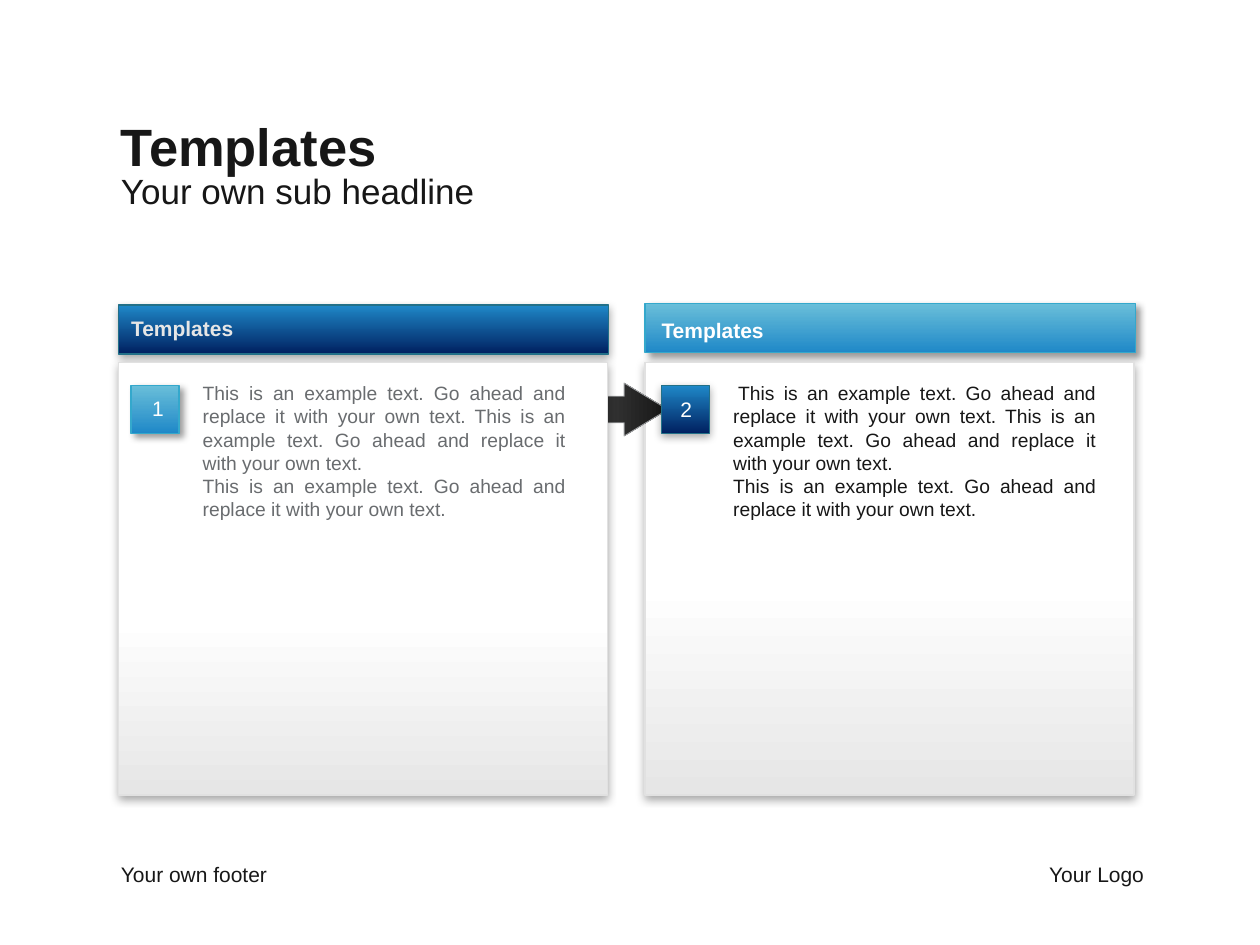
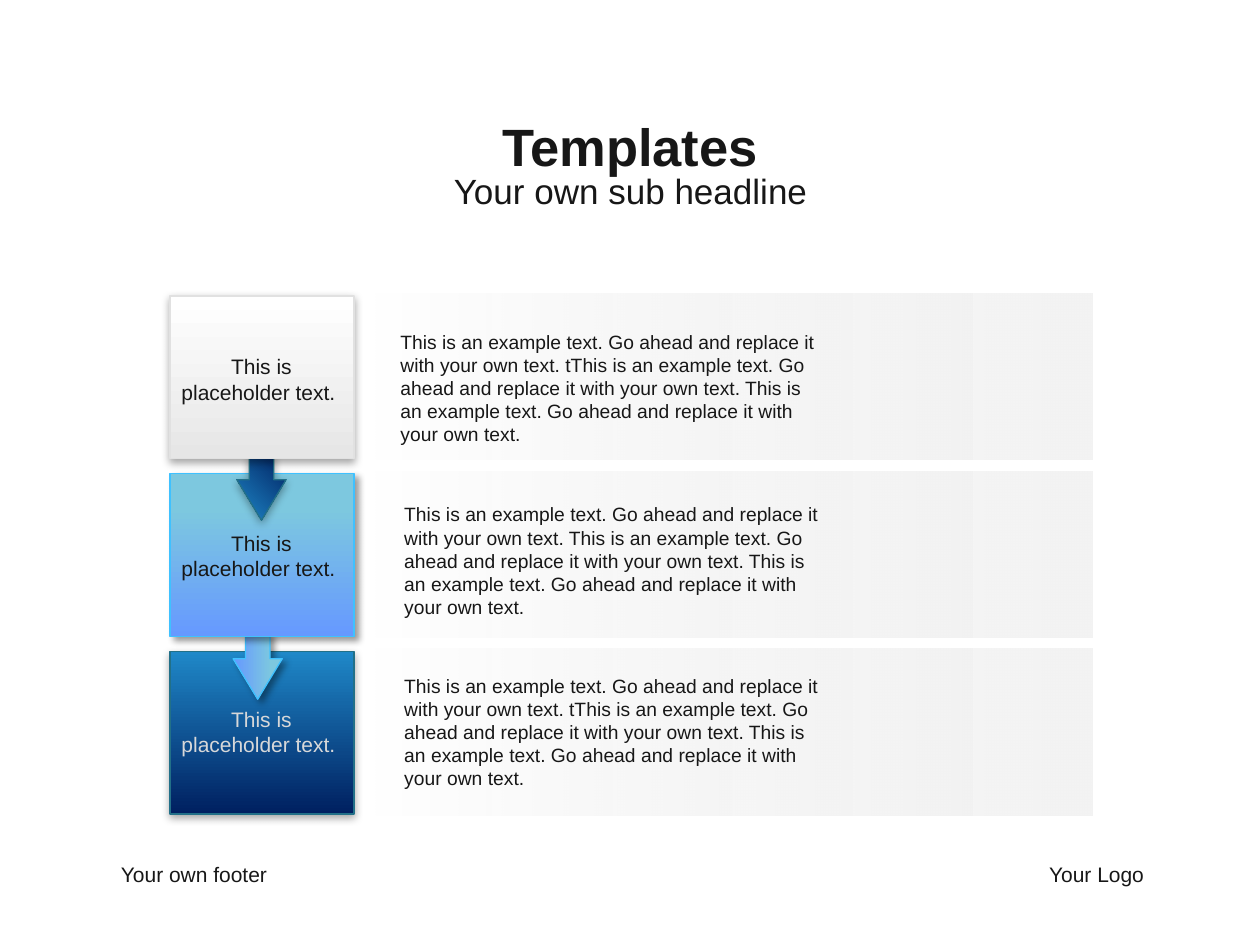
from lxml import etree
from pptx import Presentation
from pptx.dml.color import RGBColor
from pptx.enum.shapes import MSO_SHAPE
from pptx.enum.text import MSO_ANCHOR, PP_ALIGN
from pptx.oxml.ns import qn
from pptx.util import Emu, Inches, Pt

RECT, ARROW = MSO_SHAPE.RECTANGLE, MSO_SHAPE.RIGHT_ARROW
LEFT, CENTER = PP_ALIGN.LEFT, PP_ALIGN.CENTER
RIGHT, JUSTIFY = PP_ALIGN.RIGHT, PP_ALIGN.JUSTIFY
TOP, MIDDLE = MSO_ANCHOR.TOP, MSO_ANCHOR.MIDDLE

FONT, INK, WHITE = "Arial", "171717", "FFFFFF"
PAD, FLAT, BARE = (0.1, 0.05), (0, 0.05), (0, 0)
rgb = RGBColor.from_string

# Shadow: opacity %, blur pt, distance pt, direction in degrees
DROP, SLANT = (35, 5, 1.8, 90), (40, 4, 3, 45)

# Look: gradient stops (%, colour), clockwise angle, line colour, width, shadow
LIGHT = [(0, "69BED9"), (100, "1F88C8")], 90, "34A8CC", 0.75, SLANT
NAVY = [(0, "002060"), (100, "1F88C8")], 270, "227088", 0.75, DROP
TILT = NAVY[0], 45, *NAVY[2:]
SKY = [(21, "7DC8DF"), (100, "6699FF")], 90, "3FC1FF", 0.75, SLANT
PALE = [(0, "E6E6E6"), (100, WHITE)], 270, "E1E1E1", 0.75, DROP
DARK = [(0, "3A3A3A"), (100, INK)], 0, "A0A2A4", 0.5, None
BAND = [(0, "E6E6E6"), (100, "F3F3F3")], 0, None, 0, None


def draw(slide, kind, box, look):
    """Add a shape with the gradient, line and shadow of a look."""
    stops, angle, line, width, shade = look
    shape = slide.shapes.add_shape(kind, *map(Inches, box))
    shape.shadow.inherit = False
    shape.fill.gradient()
    shape.fill.gradient_angle = (360 - angle) % 360
    for stop, (pos, hue) in zip(shape.fill.gradient_stops, stops):
        stop.position = pos / 100
        stop.color.rgb = rgb(hue)
    if line:
        shape.line.color.rgb = rgb(line)
        shape.line.width = Pt(width)
    else:
        shape.line.fill.background()
    if shade:
        alpha, blur, dist, way = shade
        glow = etree.SubElement(
            shape.element.spPr.find(qn("a:effectLst")), qn("a:outerShdw"),
            blurRad=str(Pt(blur)), dist=str(Pt(dist)),
            dir=str(way * 60000), rotWithShape="0")
        tint = etree.SubElement(glow, qn("a:srgbClr"), val="000000")
        etree.SubElement(tint, qn("a:alpha"), val=str(alpha * 1000))
    if kind == ARROW:
        shape.adjustments[0], shape.adjustments[1] = 0.5, 0.825
    return shape


def write(slide, box, lines, size, hue=INK, align=LEFT, pad=PAD,
          anchor=TOP, bold=False):
    """Add a text box with one paragraph for each line."""
    frame = slide.shapes.add_textbox(*map(Inches, box)).text_frame
    frame.word_wrap = True
    frame.vertical_anchor = anchor
    frame.margin_left = frame.margin_right = Inches(pad[0])
    frame.margin_top = frame.margin_bottom = Inches(pad[1])
    for i, line in enumerate(lines):
        para = frame.add_paragraph() if i else frame.paragraphs[0]
        para.alignment = align
        if bold:
            para.line_spacing = 0.95
        run = para.add_run()
        run.text = line
        font = run.font
        font.name, font.size, font.bold = FONT, Pt(size), bold
        font.color.rgb = rgb(hue)
    return frame


deck = Presentation()
deck.slide_width, deck.slide_height = Inches(10), Inches(7.5)
blank = deck.slide_layouts[6]

# Title, sub headline and footers on both slides
for align, left, sub in [(LEFT, 0.96, 0.96), (CENTER, 3.54, 2.35)]:
    slide = deck.slides.add_slide(blank)
    write(slide, (sub, 1.32, 5.31, 0.39), ["Your own sub headline"], 20,
          align=align, pad=BARE, anchor=MIDDLE)
    write(slide, (left, 0.85, 2.92, 0.66), ["Templates"], 30,
          align=align, pad=FLAT, anchor=MIDDLE, bold=True)
    for x, words, side in [(0.96, "Your own footer", LEFT),
                           (7.4, "Your Logo", RIGHT)]:
        write(slide, (x, 6.74, 1.68, 0.39), [words], 12,
              align=side, pad=BARE, anchor=MIDDLE)
pair, flow = deck.slides

# Slide 1: two panels, the right one first so the arrow lies between them
SAMPLE = "This is an example text. Go ahead and replace it with your own text."
panels = [
    ("2", 5.12, 2.41, 49, LIGHT, NAVY, 5.25, 0.28, WHITE, 5.72, INK),
    ("1", 0.94, 2.42, 41, NAVY, LIGHT, 1.04, 0.24, "E6E6E6", 1.51, "696C6F"),
]
for num, x, top, fade, head, badge, inner, high, hue, text, ink in panels:
    draw(pair, RECT, (x, top, 3.89, 0.39), head)
    draw(pair, RECT, (x, 2.88, 3.88, 3.43),
         ([(0, "E6E6E6"), (fade, WHITE)], *PALE[1:]))
    body = write(pair, (text, 2.98, 3.08, 1.4),
                 [f"{SAMPLE} {SAMPLE}", SAMPLE], 11, ink, JUSTIFY)
    write(pair, (inner, 2.49, 2.15, high), ["Templates"], 12, hue,
          pad=FLAT, anchor=MIDDLE, bold=True)
    if num == "2":
        first = body.paragraphs[0]._p.get_or_add_pPr()
        first.set("indent", str(Emu(Inches(0.04))))
        draw(pair, ARROW, (4.72, 3.04, 0.58, 0.42), DARK)
    draw(pair, RECT, (inner, 3.06, 0.38, 0.38), badge)
write(pair, (1.11, 3.09, 0.35, 0.3), ["1"], 12, WHITE, anchor=MIDDLE)
write(pair, (5.27, 3.1, 0.35, 0.3), ["2"], 12, WHITE, CENTER)

# Slide 2: three bands with text
STEP = 1.41
for i, (x, y, typo) in enumerate([(3.08, 2.57, "t"), (3.11, 3.94, ""),
                                  (3.11, 5.3, "t")]):
    band = draw(flow, RECT, (2.96, 2.33 + STEP * i, 5.71, 1.32), BAND)
    clear = next(band.element.spPr.iter(qn("a:srgbClr")))
    etree.SubElement(clear, qn("a:alpha"), val="0")
    write(flow, (x, y, 3.52, 1.21),
          [f"{SAMPLE} {typo}{SAMPLE} {SAMPLE}"], 11)

# Blocks from the bottom up, each arrow under the block it leaves
blocks = [(2, NAVY, "D7D8D9", (1.78, 5.09), SKY),
          (1, SKY, INK, (1.81, 3.67), TILT),
          (0, PALE, INK, None, None)]
for i, look, ink, tip, tint in blocks:
    draw(flow, RECT, (1.35, 2.35 + STEP * i, 1.46, 1.29), look)
    write(flow, (1.34, 2.76 + 1.4 * i, 1.47, 0.5),
          ["This is placeholder text. "], 12, ink, CENTER)
    if tip:
        draw(flow, ARROW, (*tip, 0.53, 0.39), tint).rotation = 90

deck.save("out.pptx")
